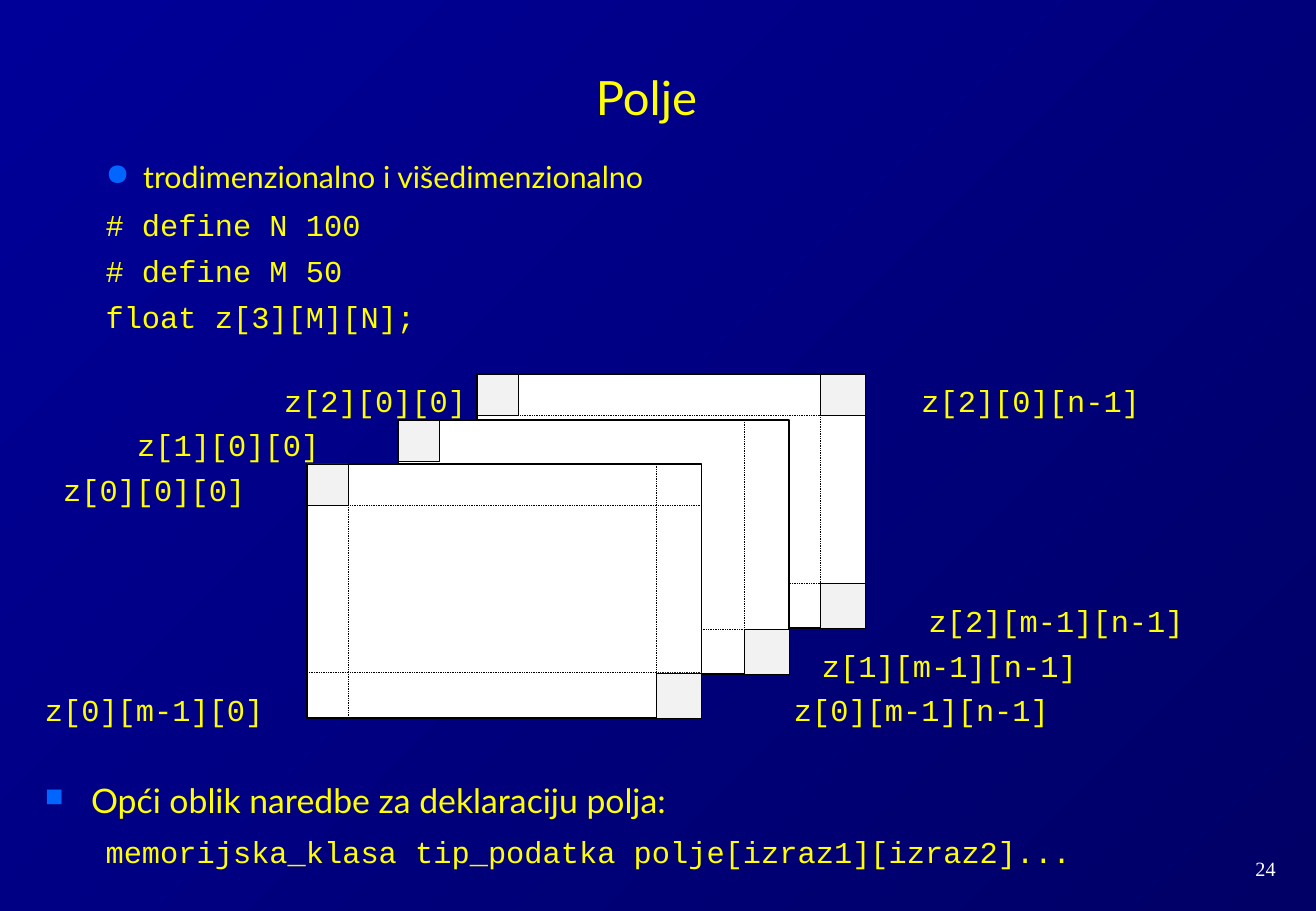
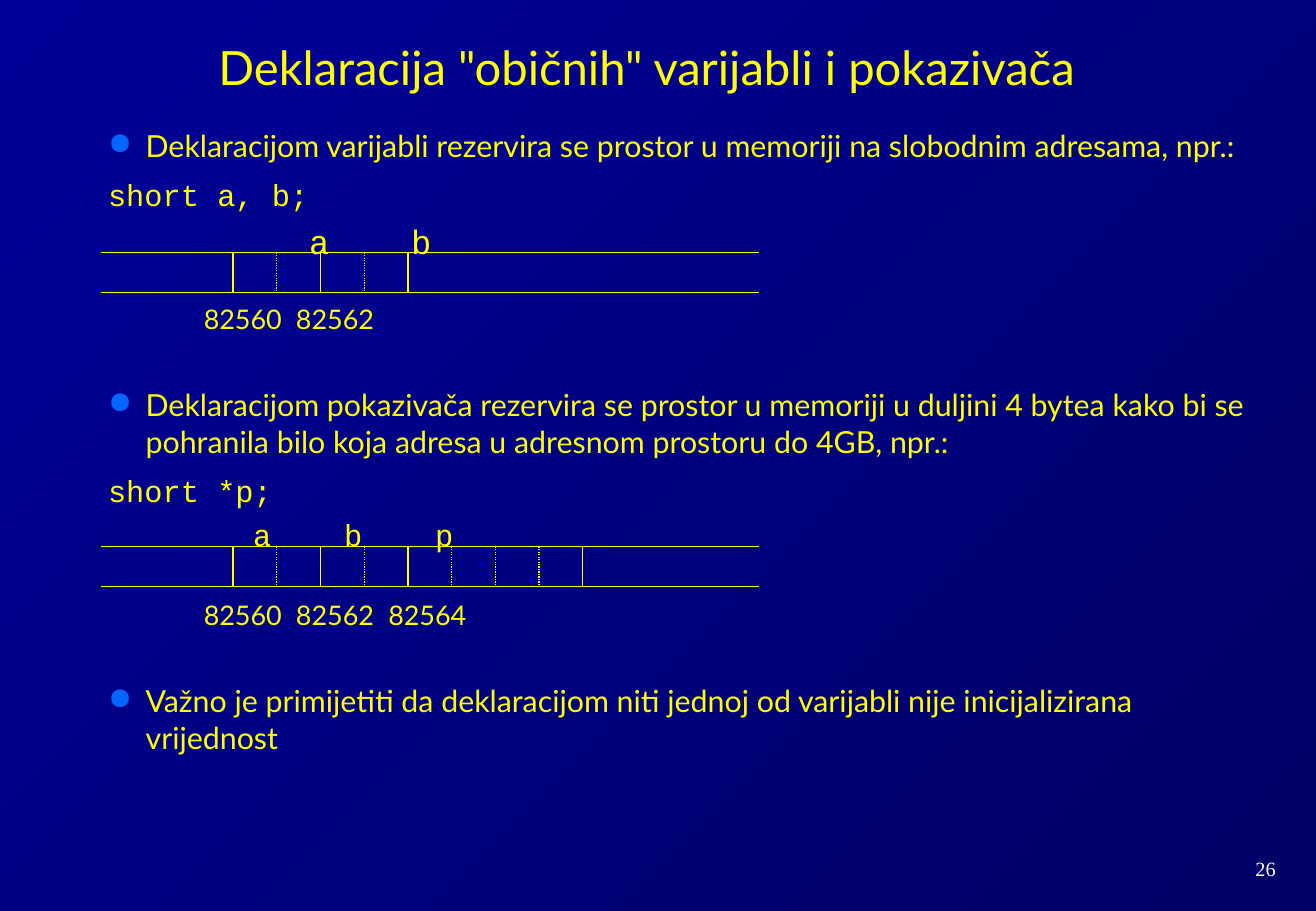
from lxml import etree
from pptx import Presentation
from pptx.dml.color import RGBColor
from pptx.enum.dml import MSO_LINE
from pptx.enum.shapes import MSO_CONNECTOR, MSO_SHAPE
from pptx.enum.text import MSO_ANCHOR, PP_ALIGN
from pptx.oxml.ns import qn
from pptx.util import Inches, Pt

COLORS = {
    "dark": "000066", "blue": "000099", "text": "FFFF00", "bullet": "0066FF",
    "number": "FFFFFF", "sheet": "FFFFFF", "corner": "F2F2F2", "ink": "000000",
}
SANS, CODE, SERIF = "Lato", "Courier New", "Times New Roman"
LEFT, CENTER = PP_ALIGN.LEFT, PP_ALIGN.CENTER
TOP, MIDDLE, BOTTOM = MSO_ANCHOR.TOP, MSO_ANCHOR.MIDDLE, MSO_ANCHOR.BOTTOM
DOTTED = MSO_LINE.ROUND_DOT
RECTANGLE, STRAIGHT = MSO_SHAPE.RECTANGLE, MSO_CONNECTOR.STRAIGHT
BLANK_LAYOUT = 6
FIRST_CELL, LAST_CELL, SHEET_HEIGHT = 0.34, 0.37, 2.09
BYTE_WIDTH, STRIP_HEIGHT, STRIP_WIDTH, FIRST_BYTE = 0.36, 0.33, 5.42, 1.09


def rgb(name):
    """Return a named colour."""
    return RGBColor.from_string(COLORS[name])


def add_bullet(paragraph, character, indent, percent):
    """Give a paragraph a hanging bullet."""
    properties = paragraph._p.get_or_add_pPr()
    properties.set("marL", str(Inches(indent)))
    properties.set("indent", str(-Inches(indent)))
    color = etree.SubElement(properties, qn("a:buClr"))
    etree.SubElement(color, qn("a:srgbClr"), val=COLORS["bullet"])
    etree.SubElement(properties, qn("a:buSzPct"), val=str(percent * 1000))
    etree.SubElement(properties, qn("a:buChar"), char=character)


def add_text(slide, box, *lines, size=18, font=SANS, color="text", align=LEFT,
             anchor=TOP, gap=0, bullet=None, indent=0.31, percent=100):
    """Add a text box with one paragraph for each line."""
    frame = slide.shapes.add_textbox(*map(Inches, box)).text_frame
    frame.margin_left = frame.margin_right = 0
    frame.margin_top = frame.margin_bottom = 0
    frame.word_wrap = True
    frame.vertical_anchor = anchor
    for index, line in enumerate(lines):
        paragraph = frame.paragraphs[0] if index == 0 else frame.add_paragraph()
        if bullet:
            add_bullet(paragraph, bullet, indent, percent)
        paragraph.alignment = align
        if index:
            paragraph.space_before = Pt(gap)
        run = paragraph.add_run()
        run.text = line
        run.font.size = Pt(size)
        run.font.name = font
        run.font.color.rgb = rgb(color)


def add_rectangle(slide, box, line, weight, fill=None):
    """Add an outlined rectangle, filled when a fill is named."""
    shape = slide.shapes.add_shape(RECTANGLE, *map(Inches, box))
    shape.shadow.inherit = False
    if fill:
        shape.fill.solid()
        shape.fill.fore_color.rgb = rgb(fill)
    else:
        shape.fill.background()
    shape.line.color.rgb = rgb(line)
    shape.line.width = Pt(weight)


def add_line(slide, ends, color, weight, dash=None):
    """Add a straight line between two points."""
    connector = slide.shapes.add_connector(STRAIGHT, *map(Inches, ends))
    etree.SubElement(connector._element.spPr, qn("a:effectLst"))
    connector.line.color.rgb = rgb(color)
    connector.line.width = Pt(weight)
    if dash:
        connector.line.dash_style = dash


def set_background(master):
    """Give every slide the diagonal blue gradient."""
    fill = master.background.fill
    fill.gradient()
    fill.gradient_angle = 135
    for stop, name, position in zip(fill.gradient_stops, ("dark", "blue"), (0, 1)):
        stop.color.rgb = rgb(name)
        stop.position = position


def add_slide(presentation, title, title_top, number):
    """Add a slide with its title and number."""
    slide = presentation.slides.add_slide(presentation.slide_layouts[BLANK_LAYOUT])
    add_text(slide, (0.54, title_top, 9.57, 0.78), title, size=28,
             align=CENTER, anchor=BOTTOM)
    add_text(slide, (10.02, 7, 0.81, 0.3), number, size=12, font=SERIF,
             color="number", align=CENTER, anchor=MIDDLE)
    return slide


def add_sheet(slide, left, top, width, guides, corners):
    """Draw one matrix layer with dotted guides and marked corner cells."""
    right, bottom = left + width, top + SHEET_HEIGHT
    row, last_row = top + FIRST_CELL, bottom - LAST_CELL
    column, last_column = left + FIRST_CELL, right - LAST_CELL
    guide_ends = {
        "top": (left, row, right, row),
        "bottom": (left, last_row, right, last_row),
        "left": (column, top, column, bottom),
        "right": (last_column, top, last_column, bottom),
    }
    corner_boxes = {
        "first": (left, top, FIRST_CELL, FIRST_CELL),
        "row end": (last_column, top, LAST_CELL, FIRST_CELL),
        "last": (last_column, last_row, LAST_CELL, LAST_CELL),
    }
    add_rectangle(slide, (left, top, width, SHEET_HEIGHT), "ink", 1, "sheet")
    for name in guides:
        add_line(slide, guide_ends[name], "ink", 0.5, DOTTED)
    for name in corners:
        add_rectangle(slide, corner_boxes[name], "ink", 0.25, "corner")


def add_memory(slide, left, top, sizes):
    """Draw a strip of memory holding variables of the given byte sizes."""
    bottom = top + STRIP_HEIGHT
    start = left + FIRST_BYTE
    end = start + sum(sizes) * BYTE_WIDTH
    for y in (top, bottom):
        add_line(slide, (left, y, start, y), "text", 0.75)
        add_line(slide, (end, y, left + STRIP_WIDTH, y), "text", 0.75)
    for size in sizes:
        width = size * BYTE_WIDTH
        add_rectangle(slide, (start, top, width, STRIP_HEIGHT), "text", 0.75)
        for byte in range(1, size):
            x = start + byte * BYTE_WIDTH
            add_line(slide, (x, top, x, bottom), "text", 0.75, DOTTED)
        start += width


def add_labels(slide, center, top, pitch, labels, **style):
    """Place a row of centred labels at an equal pitch."""
    for index, label in enumerate(labels):
        left = center + index * pitch - 0.35
        add_text(slide, (left, top, 0.7, 0.3), label, align=CENTER, **style)


def build_array_slide(presentation):
    """Build the slide on arrays of three and more dimensions."""
    slide = add_slide(presentation, "Polje", 0.25, "24")
    add_text(slide, (0.87, 1.3, 9.8, 0.3), "trodimenzionalno i višedimenzionalno",
             bullet="●")
    add_text(slide, (0.87, 1.7, 6, 1.05), "# define N 100", "# define M 50",
             "float z[3][M][N];", font=CODE, gap=5.7)
    sheets = (
        (3.93, 3.08, 3.2, ("top", "right", "bottom"), ("first", "row end", "last")),
        (3.28, 3.46, 3.22, ("right", "bottom"), ("first", "last")),
        (2.53, 3.82, 3.25, ("top", "bottom", "left", "right"), ("first", "last")),
    )
    for sheet in sheets:
        add_sheet(slide, *sheet)
    labels = (
        (2.34, 3.15, "z[2][0][0]"), (7.59, 3.15, "z[2][0][n-1]"),
        (1.13, 3.51, "z[1][0][0]"), (0.52, 3.88, "z[0][0][0]"),
        (7.65, 4.96, "z[2][m-1][n-1]"), (6.77, 5.33, "z[1][m-1][n-1]"),
        (0.37, 5.69, "z[0][m-1][0]"), (6.54, 5.69, "z[0][m-1][n-1]"),
    )
    for left, top, label in labels:
        add_text(slide, (left, top, 2.3, 0.3), label, font=CODE)
    add_text(slide, (0.37, 6.42, 10, 0.33), "Opći oblik naredbe za deklaraciju polja:",
             size=20, bullet="■", indent=0.38, percent=75)
    add_text(slide, (0.87, 6.86, 9, 0.3),
             "memorijska_klasa tip_podatka polje[izraz1][izraz2]...", font=CODE)


def build_pointer_slide(presentation):
    """Build the slide on declaring variables and pointers."""
    slide = add_slide(presentation, 'Deklaracija "običnih" varijabli i pokazivača',
                      0, "26")
    points = (
        (1.05, "Deklaracijom varijabli rezervira se prostor u memoriji na slobodnim "
               "adresama, npr.:"),
        (3.18, "Deklaracijom pokazivača rezervira se prostor u memoriji u duljini "
               "4 bytea kako bi se pohranila bilo koja adresa u adresnom prostoru "
               "do 4GB, npr.:"),
        (5.62, "Važno je primijetiti da deklaracijom niti jednoj od varijabli nije "
               "inicijalizirana vrijednost"),
    )
    for top, point in points:
        add_text(slide, (0.89, top, 9.57, 0.6), point, bullet="●")
    for top, code in ((1.45, "short a, b;"), (3.89, "short *p;")):
        add_text(slide, (0.89, top, 6, 0.3), code, font=CODE)
    add_memory(slide, 0.83, 2.08, (2, 2))
    add_labels(slide, 2.63, 1.82, 0.84, ("a", "b"), size=20, font=CODE)
    add_labels(slide, 2, 2.49, 0.76, ("82560", "82562"), size=16)
    add_memory(slide, 0.83, 4.5, (2, 2, 4))
    add_labels(slide, 2.16, 4.25, 0.75, ("a", "b", "p"), font=CODE)
    add_labels(slide, 2, 4.93, 0.76, ("82560", "82562", "82564"), size=16)


def main():
    """Build and save the presentation."""
    presentation = Presentation()
    presentation.slide_width = Inches(10.84)
    presentation.slide_height = Inches(7.5)
    set_background(presentation.slide_master)
    build_array_slide(presentation)
    build_pointer_slide(presentation)
    presentation.save("out.pptx")


if __name__ == "__main__":
    main()
